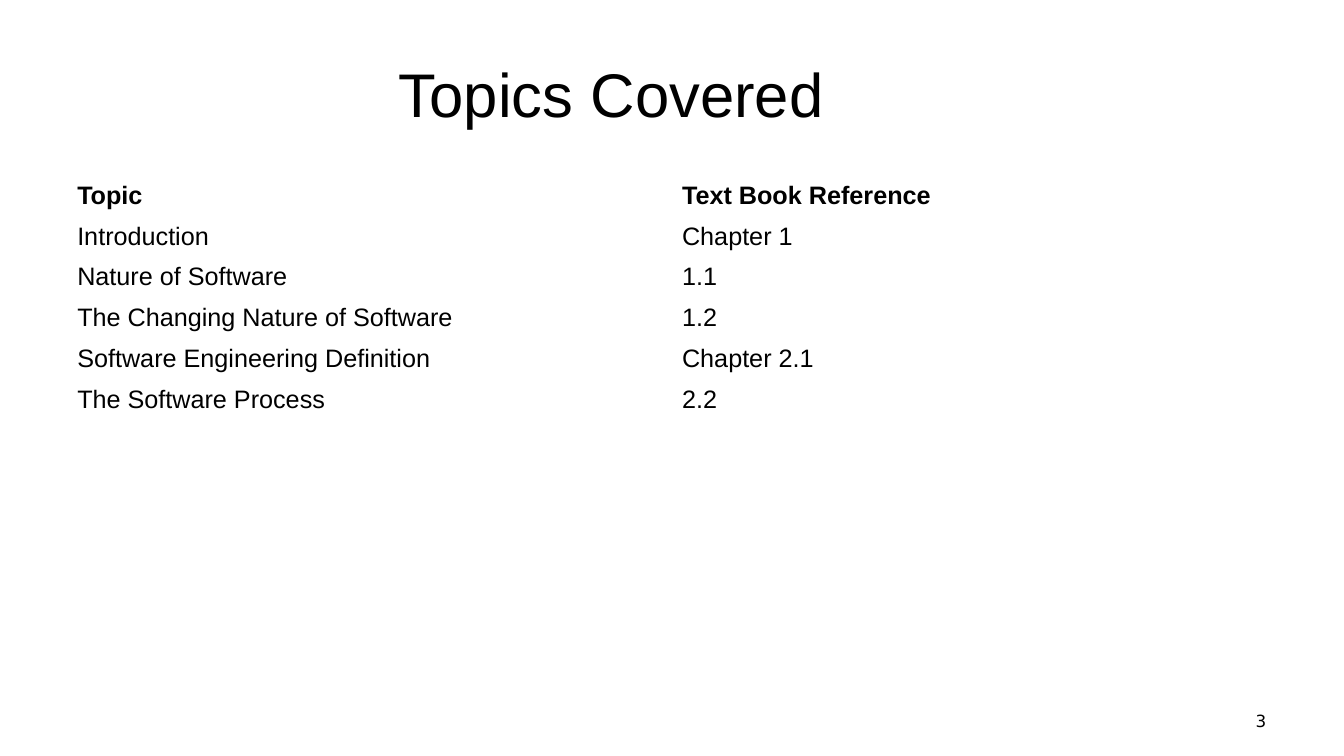
from pptx import Presentation
from pptx.dml.color import RGBColor
from pptx.enum.text import MSO_ANCHOR, PP_ALIGN
from pptx.util import Pt

CENTER, LEFT, RIGHT = PP_ALIGN.CENTER, PP_ALIGN.LEFT, PP_ALIGN.RIGHT
MIDDLE = MSO_ANCHOR.MIDDLE
BLACK = "000000"

TOPICS = [
    ("Topic", "Text Book Reference"),
    ("Introduction", "Chapter 1"),
    ("Nature of Software", "1.1"),
    ("The Changing Nature of Software", "1.2"),
    ("Software Engineering Definition", "Chapter 2.1"),
    ("The Software Process", "2.2"),
]


def color(value):
    return RGBColor.from_string(value)


def write(tf, text, align, **formats):
    p = tf.paragraphs[0]
    p.alignment = align
    r = p.add_run()
    r.text = text
    r.font.color.rgb = color(BLACK)
    for name, value in formats.items():
        setattr(r.font, name, value)


def add_label(s, box, text, align, **formats):
    tf = s.shapes.add_textbox(*map(Pt, box)).text_frame
    tf.word_wrap = True
    tf.vertical_anchor = MIDDLE
    write(tf, text, align, **formats)


def add_topics(s, box, rows):
    frame = s.shapes.add_table(len(rows), len(rows[0]), *map(Pt, box))
    table = frame.table
    table.first_row = False
    table.horz_banding = False
    for i, row in enumerate(rows):
        for j, text in enumerate(row):
            cell = table.cell(i, j)
            cell.fill.background()
            write(cell.text_frame, text, LEFT, name="Arial", size=Pt(18), bold=i == 0)


def main():
    prs = Presentation()
    prs.slide_width, prs.slide_height = Pt(960), Pt(540)
    s = prs.slides.add_slide(prs.slide_layouts[6])
    s.background.fill.solid()
    s.background.fill.fore_color.rgb = color("FFFFFF")
    add_label(s, (48, 21.6, 798, 90), "Topics Covered\t", CENTER, name="Arial", size=Pt(44))
    add_label(s, (687.6, 500.4, 224, 28.8), "3", RIGHT, name="DejaVu Sans", size=Pt(12))
    add_topics(s, (48, 126, 864, 175), TOPICS)
    prs.save("out.pptx")


if __name__ == "__main__":
    main()
